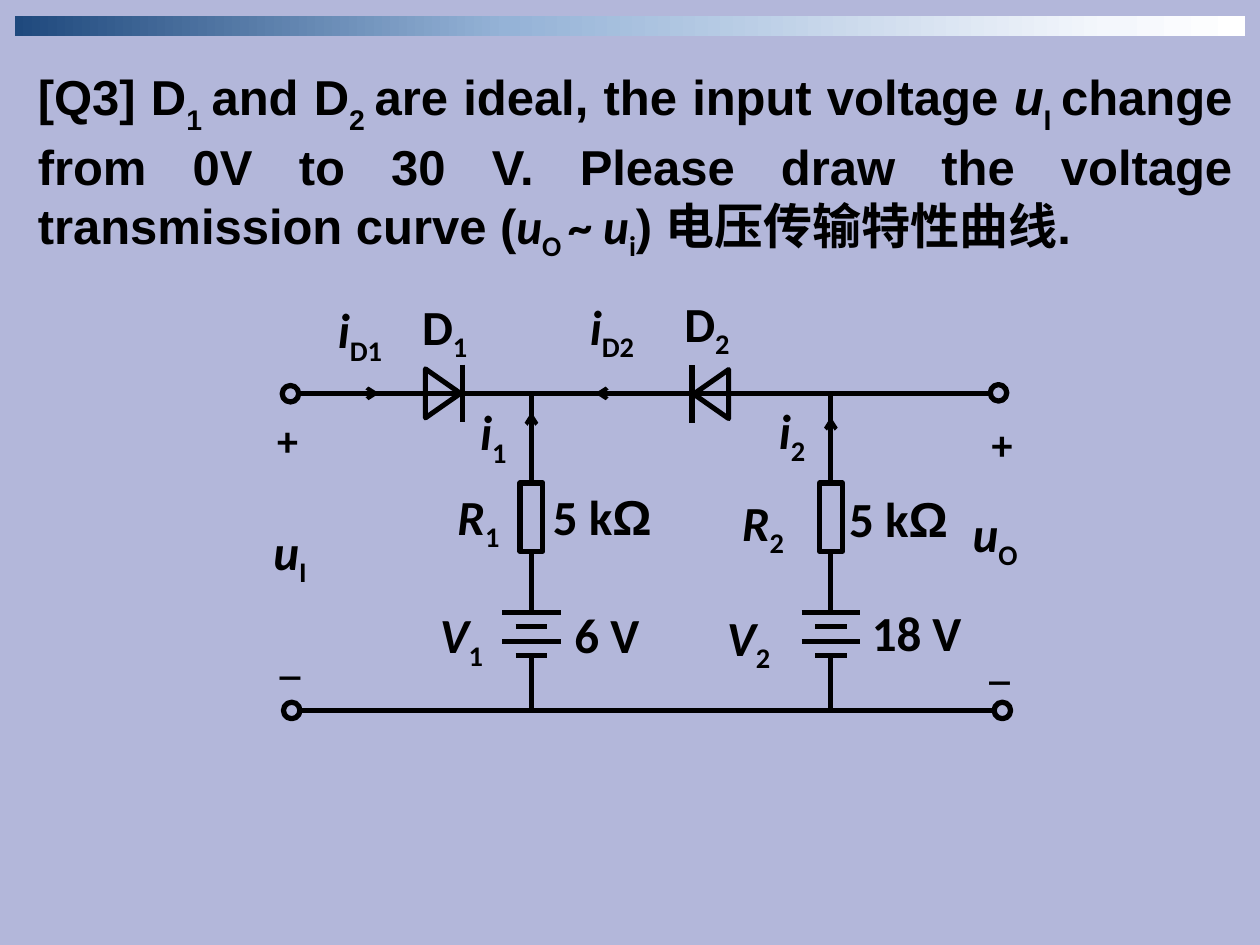
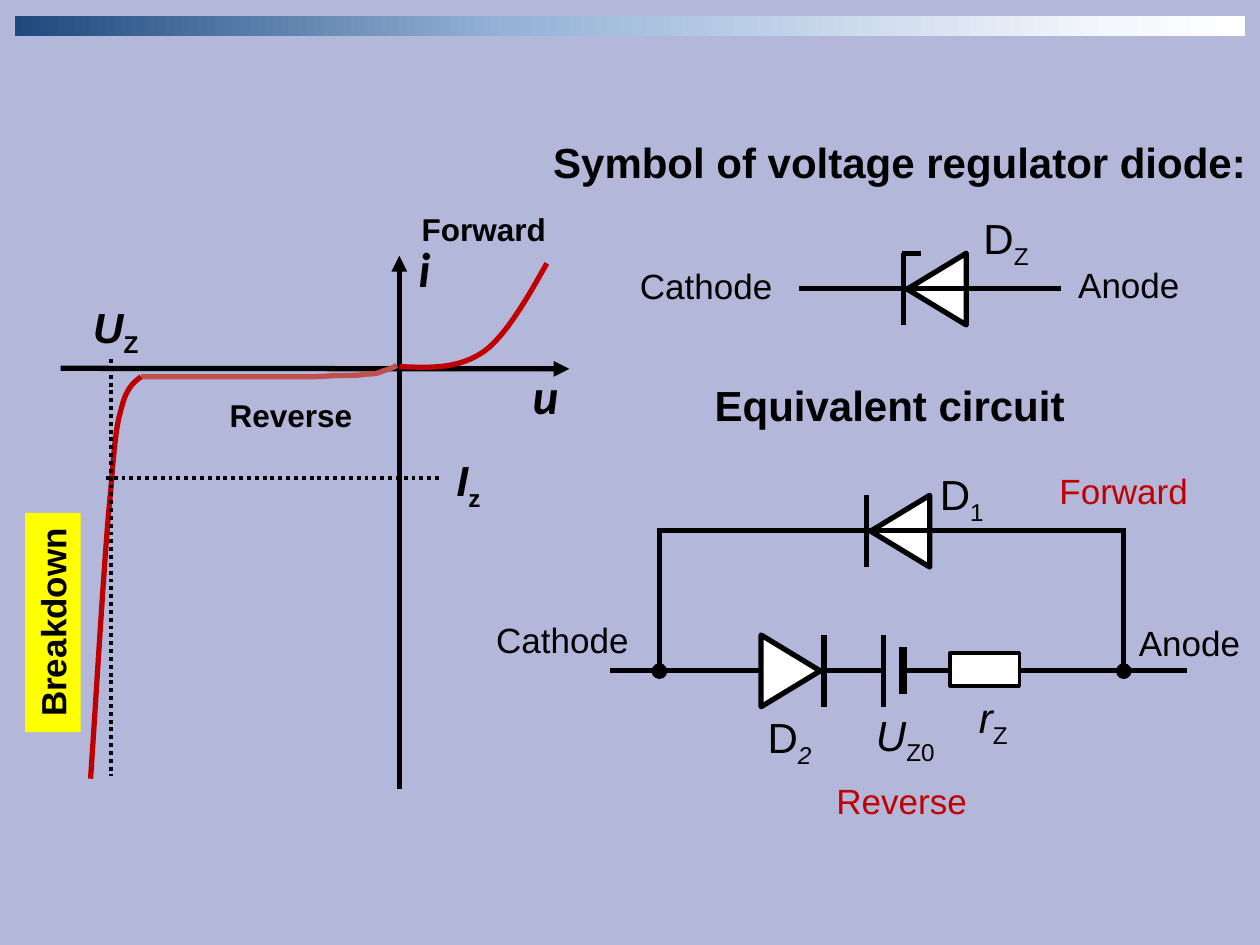
from collections import namedtuple
from dataclasses import dataclass

from pptx import Presentation
from pptx import util as u
from pptx.dml.color import RGBColor
from pptx.enum import dml, shapes, text
from pptx.oxml import parse_xml
from pptx.oxml.ns import nsdecls, qn

Style = namedtuple("Style", "font size bold color")
Diode = namedtuple("Diode", "base depth gap bar weight fill")
BLACK, RED = "000000", "C00000"


@dataclass(frozen=True)
class Theme:
    background: str = "B3B7DA"
    paper: str = "FFFFFF"
    ink: str = BLACK
    curve: str = RED
    leakage: str = "C0504D"
    highlight: str = "FFFF00"
    band: tuple = ((0, "1F497D"), (40, "95B3D7"), (89, "F4F7FC"), (100, "FFFFFF"))
    thick: float = 3
    thin: float = 2.25
    question: Style = Style("Arial", 28, True, BLACK)
    heading: Style = Style("Arial", 24, True, BLACK)
    circuit: Style = Style("Calibri", 28, True, BLACK)
    polarity: Style = Style("Calibri", 24, True, BLACK)
    region: Style = Style("Arial", 18, True, BLACK)
    breakdown: Style = Style("Arial", 20, True, BLACK)
    component: Style = Style("Arial", 24, False, BLACK)
    terminal: Style = Style("Arial", 20, False, BLACK)
    direction: Style = Style("Arial", 20, False, RED)


T = Theme()
SMALL_DIODE = Diode(28, 20, 1, 33, 2.88, None)
LARGE_DIODE = Diode(41, 33.8, 2.2, 41, 3, T.paper)
ALIGN = text.PP_ALIGN
# Run marks: i italic, s subscript, d deeper subscript, c Calibri, a Arial
FONTS = {"c": "Calibri", "a": "Arial"}
BASELINES = {"s": "-25000", "d": "-30000"}


def rgb(code):
    return RGBColor.from_string(code)


def points(*values):
    return [u.Pt(value) for value in values]


# ---- Text ----
def add_runs(paragraph, runs, style):
    for wording, marks in runs:
        run = paragraph.add_run()
        run.text = wording
        font = run.font
        font.name, font.size = style.font, u.Pt(style.size)
        font.bold, font.italic = style.bold, "i" in marks
        font.color.rgb = rgb(style.color)
        for mark in marks:
            if mark in FONTS:
                font.name = FONTS[mark]
            if mark in BASELINES:
                font._element.set("baseline", BASELINES[mark])


def set_text(frame, runs, style, align, wrap=True):
    frame.word_wrap = wrap
    frame.auto_size = text.MSO_AUTO_SIZE.SHAPE_TO_FIT_TEXT
    frame.vertical_anchor = text.MSO_ANCHOR.TOP
    paragraph = frame.paragraphs[0]
    paragraph.alignment = align
    add_runs(paragraph, runs, style)
    return paragraph


def add_title(slide, runs, style, box, align):
    title = slide.shapes.title
    title.left, title.top, title.width, title.height = points(*box)
    return set_text(title.text_frame, runs, style, align)


def add_label(slide, runs, style, box, align=ALIGN.CENTER):
    label = slide.shapes.add_textbox(*points(*box))
    set_text(label.text_frame, runs, style, align)
    return label


def add_tag(slide, runs, x, y, width=38, style=T.circuit):
    """Unwrapped label without insets, placed by its top left corner."""
    frame = slide.shapes.add_textbox(*points(x, y, width, 33)).text_frame
    frame.margin_left = frame.margin_right = frame.margin_top = frame.margin_bottom = 0
    set_text(frame, runs, style, ALIGN.LEFT, wrap=False)


# ---- Lines and shapes ----
def add_line(slide, x1, y1, x2, y2, weight=T.thick, tip=None, dotted=False):
    wire = slide.shapes.add_connector(
        shapes.MSO_CONNECTOR.STRAIGHT, *points(x1, y1, x2, y2))
    wire.line.color.rgb = rgb(T.ink)
    wire.line.width = u.Pt(weight)
    if dotted:
        wire.line.dash_style = dml.MSO_LINE.ROUND_DOT
    props = wire.element.spPr
    if tip:
        props.find(qn("a:ln")).append(
            parse_xml(f'<a:tailEnd {nsdecls("a")} type="{tip}"/>'))
    props.append(parse_xml(f'<a:effectLst {nsdecls("a")}/>'))


def paint(shape, fill, weight, color=T.ink):
    shape.shadow.inherit = False
    if fill:
        shape.fill.solid()
        shape.fill.fore_color.rgb = rgb(fill)
    else:
        shape.fill.background()
    shape.line.color.rgb = rgb(color)
    shape.line.width = u.Pt(weight)


def add_centred(slide, kind, cx, cy, w, h, fill=None, weight=T.thick):
    shape = slide.shapes.add_shape(kind, *points(cx - w / 2, cy - h / 2, w, h))
    paint(shape, fill, weight)
    return shape


def add_diode(slide, cx, cy, way, look):
    """Triangle pointing right (way 1) or left (way -1), with its cathode bar."""
    triangle = add_centred(slide, shapes.MSO_SHAPE.ISOSCELES_TRIANGLE, cx, cy,
                           look.base, look.depth, look.fill, look.weight)
    triangle.rotation = 90 * way % 360
    bar = cx + way * (look.depth / 2 + look.gap)
    add_line(slide, bar, cy - look.bar / 2, bar, cy + look.bar / 2)
    return bar


def add_curve(slide, start, beziers, color, steps=12):
    outline = slide.shapes.build_freeform(*points(*start))
    here, vertices = start, []
    for a, b, end in beziers:
        for step in range(1, steps + 1):
            t = step / steps
            s = 1 - t
            vertices.append(points(*(
                s**3 * p + 3 * s * s * t * q + 3 * s * t * t * r + t**3 * e
                for p, q, r, e in zip(here, a, b, end))))
        here = end
    outline.add_line_segments(vertices, close=False)
    paint(outline.convert_to_shape(), None, T.thick, color)


# ---- Shared slide frame ----
def new_slide(prs):
    slide = prs.slides.add_slide(prs.slide_layouts[5])
    band = slide.shapes.add_shape(
        shapes.MSO_SHAPE.RECTANGLE, *points(8.64, 9.36, 702.7, 11.5))
    band.shadow.inherit = False
    band.line.fill.background()
    band.fill.gradient()
    band.fill.gradient_angle = 0
    stops = band.element.spPr.find(qn("a:gradFill")).find(qn("a:gsLst"))
    for stop in list(stops):
        stops.remove(stop)
    for place, color in T.band:
        stops.append(parse_xml(f'<a:gs {nsdecls("a")} pos="{place * 1000}">'
                               f'<a:srgbClr val="{color}"/></a:gs>'))
    return slide


# ---- Slide 1: two-diode circuit ----
def add_branch(slide, x, arrow_top):
    """Resistor and battery in series between the two rails."""
    add_line(slide, x, 224.8, x, 276)
    add_line(slide, x, arrow_top + 31, x, arrow_top, T.thin, "arrow")
    add_centred(slide, shapes.MSO_SHAPE.RECTANGLE, x, 295.5, 13, 39)
    add_line(slide, x, 315, x, 350)
    for plate, half in enumerate((16.7, 9, 16.7, 9)):
        y = 350 + 8.2 * plate
        add_line(slide, x - half, y, x + half, y)
    add_line(slide, x, 374.6, x, 406)


def question_slide(prs):
    slide = new_slide(prs)
    question = add_title(slide, [
        ("[Q3] D", ""), ("1 ", "d"), ("and D", ""), ("2 ", "d"),
        ("are ideal, the input voltage ", ""), ("u", "i"), ("I ", "d"),
        ("change from 0V to 30 V. Please draw the voltage transmission curve (", ""),
        ("u", "ic"), ("O ", "sc"), ("~ ", "c"), ("u", "ic"), ("i", "sc"),
        (") 电压传输特性曲线.", "")],
        T.question, (14.4, 34.6, 697, 122.4), ALIGN.JUSTIFY)
    question.space_before = u.Pt(4)

    # Rails, terminals and branches
    add_line(slide, 170.6, 224.8, 565.2, 224.8)
    add_line(slide, 568, 406, 172, 406)
    for x, y in ((166, 225), (570.6, 224.5), (166.7, 406), (572.8, 406)):
        add_centred(slide, shapes.MSO_SHAPE.OVAL, x, y, 9.4, 9.4)
    add_branch(slide, 303.7, 235.5)
    add_branch(slide, 474.8, 238.3)

    # Diodes and their currents
    add_diode(slide, 253.1, 224.8, 1, SMALL_DIODE)
    add_diode(slide, 406.4, 225.2, -1, SMALL_DIODE)
    add_line(slide, 188.6, 224.8, 216.7, 224.8, T.thin, "arrow")
    add_line(slide, 368, 224.8, 340, 224.8, T.thin, "arrow")

    # Names of quantities: symbol, its mark, subscript, place
    for symbol, mark, index, x, y in (
            ("D", "", "1", 241.2, 169.2), ("D", "", "2", 391, 167.8),
            ("i", "i", "D1", 193, 171.4), ("i", "i", "D2", 337, 169.2),
            ("i", "i", "1", 274.3, 229.7), ("i", "i", "2", 445, 229),
            ("R", "i", "1", 261.4, 278), ("R", "i", "2", 424, 281.5),
            ("V", "i", "1", 251.3, 345.6), ("V", "i", "2", 415.4, 347),
            ("u", "i", "I", 156.2, 298), ("u", "i", "O", 555.8, 288)):
        add_tag(slide, [(symbol, mark), (index, "s")], x, y)

    # Values and polarity signs
    for x, y in ((316, 278), (485.3, 279.4)):
        add_tag(slide, [("5 k", ""), ("Ω", "a")], x, y, 61)
    for volts, x, y in (("6 V", 328.3, 345.6), ("18 V", 498.2, 344.2)):
        add_tag(slide, [(volts, "")], x, y, 58)
    for sign, x, y in (("+", 158.4, 236.9), ("+", 566.6, 239),
                       ("_", 159.8, 361.4), ("_", 565.2, 364.3)):
        add_tag(slide, [(sign, "")], x, y, 12, T.polarity)


# ---- Slide 2: voltage regulator diode ----
def add_characteristic(slide):
    add_line(slide, 34.6, 210.5, 325.4, 210.8, tip="triangle")
    add_line(slide, 228.2, 450.7, 228.2, 146.2, tip="triangle")
    knee = (80.6, 215.3)
    add_curve(slide, knee, [
        ((110, 215.3), (140, 215.3), (169.9, 215.3)),
        ((178.6, 215.3), (184.3, 215.3), (190.8, 214.6)),
        ((198, 214.6), (205.2, 214.6), (209.5, 213.8)),
        ((214.6, 213.8), (216.7, 213.1), (219.6, 211.7)),
        ((222.5, 211), (224.6, 210.2), (226.8, 208.8))], T.leakage)
    add_curve(slide, (228.2, 209.5), [
        ((245.5, 210.2), (262, 211), (276.5, 200.9)),
        ((290.2, 191.5), (306, 162), (312.5, 150.5))], T.curve)
    add_curve(slide, knee, [
        ((77, 218.2), (72.7, 221), (69.8, 231.8)),
        ((67, 242.6), (66.2, 244), (63.4, 279.4)),
        ((59.8, 314.6), (56.2, 380.2), (51.8, 445))], T.curve)
    add_line(slide, 63.4, 205.2, 63.4, 443.5, T.thin, dotted=True)
    add_line(slide, 60.5, 272.9, 252.7, 272.9, T.thin, dotted=True)

    breakdown = add_label(slide, [("Breakdown", "")], T.breakdown,
                          (-32.4, 339.8, 125.3, 31.7))
    breakdown.rotation = 270
    breakdown.fill.solid()
    breakdown.fill.fore_color.rgb = rgb(T.highlight)
    add_label(slide, [("u", "i")], T.circuit, (293, 205.2, 37.4, 40.3))
    add_label(slide, [("i", "i")], T.circuit, (231.8, 132.5, 21.6, 41))
    for region, x, y in (("Forward", 222.5, 116.6), ("Reverse", 112.3, 222.5)):
        add_label(slide, [(region, "")], T.region, (x, y, 108, 28.8))
    for symbol, index, x, y in (("U", "Z", 30.2, 168.5), ("I", "z", 231.8, 256.3)):
        add_label(slide, [(symbol, "i"), (index, "s")], T.heading, (x, y, 72, 42.5))


def regulator_slide(prs):
    slide = new_slide(prs)
    add_title(slide, [("Symbol of voltage regulator diode:", "")], T.heading,
              (308.9, 74.2, 411, 36), ALIGN.LEFT)
    add_characteristic(slide)

    # Diode symbol
    cathode_bar = add_diode(slide, 535.3, 165.2, -1, LARGE_DIODE)
    add_line(slide, 456.5, 165, 606.2, 165)
    add_line(slide, cathode_bar - 0.7, 144.7, cathode_bar + 10.1, 144.7)

    # Equivalent circuit: forward branch above, reverse branch below
    add_label(slide, [("Equivalent circuit", "")], T.heading, (387.4, 213.1, 242, 36))
    add_diode(slide, 514.4, 303.5, -1, LARGE_DIODE)
    add_line(slide, 377.3, 303, 642.2, 303)
    for x in (376.8, 642.2):
        add_line(slide, x, 302, x, 383.5, tip="oval")
    add_line(slide, 348.5, 383.2, 504.7, 383.2)
    add_diode(slide, 451.8, 383.4, 1, LARGE_DIODE)
    add_line(slide, 504.7, 362.9, 504.7, 403.9)
    add_line(slide, 516.2, 370, 516.2, 396.7, 4.5)
    add_line(slide, 517.7, 383.2, 678.2, 383.2)
    add_centred(slide, shapes.MSO_SHAPE.RECTANGLE, 562.7, 382.6, 39.6, 18.7,
                T.paper, 2)

    # Component names, terminals and directions
    for symbol, mark, index, index_mark, x, y in (
            ("D", "", "Z", "s", 544.3, 118), ("D", "", "1", "s", 519, 264.2),
            ("D", "", "2", "is", 420.5, 403.2), ("U", "i", "Z0", "s", 486.7, 401.8),
            ("r", "i", "Z", "s", 537, 391.7)):
        add_label(slide, [(symbol, mark), (index, index_mark)], T.component,
                  (x, y, 61.2, 42.5))
    for name, style, x, y, width in (
            ("Cathode", T.terminal, 358.6, 147.6, 102),
            ("Anode", T.terminal, 609, 146.9, 82),
            ("Cathode", T.terminal, 276.5, 349.9, 102),
            ("Anode", T.terminal, 643.7, 351.4, 76),
            ("Forward", T.direction, 598.3, 265, 103),
            ("Reverse", T.direction, 470.9, 442, 103)):
        add_label(slide, [(name, "")], style, (x, y, width, 31.7), ALIGN.LEFT)


def main():
    prs = Presentation()
    prs.slide_width, prs.slide_height = points(720, 540)
    backdrop = prs.slide_master.background.fill
    backdrop.solid()
    backdrop.fore_color.rgb = rgb(T.background)
    question_slide(prs)
    regulator_slide(prs)
    prs.save("out.pptx")


if __name__ == "__main__":
    main()
